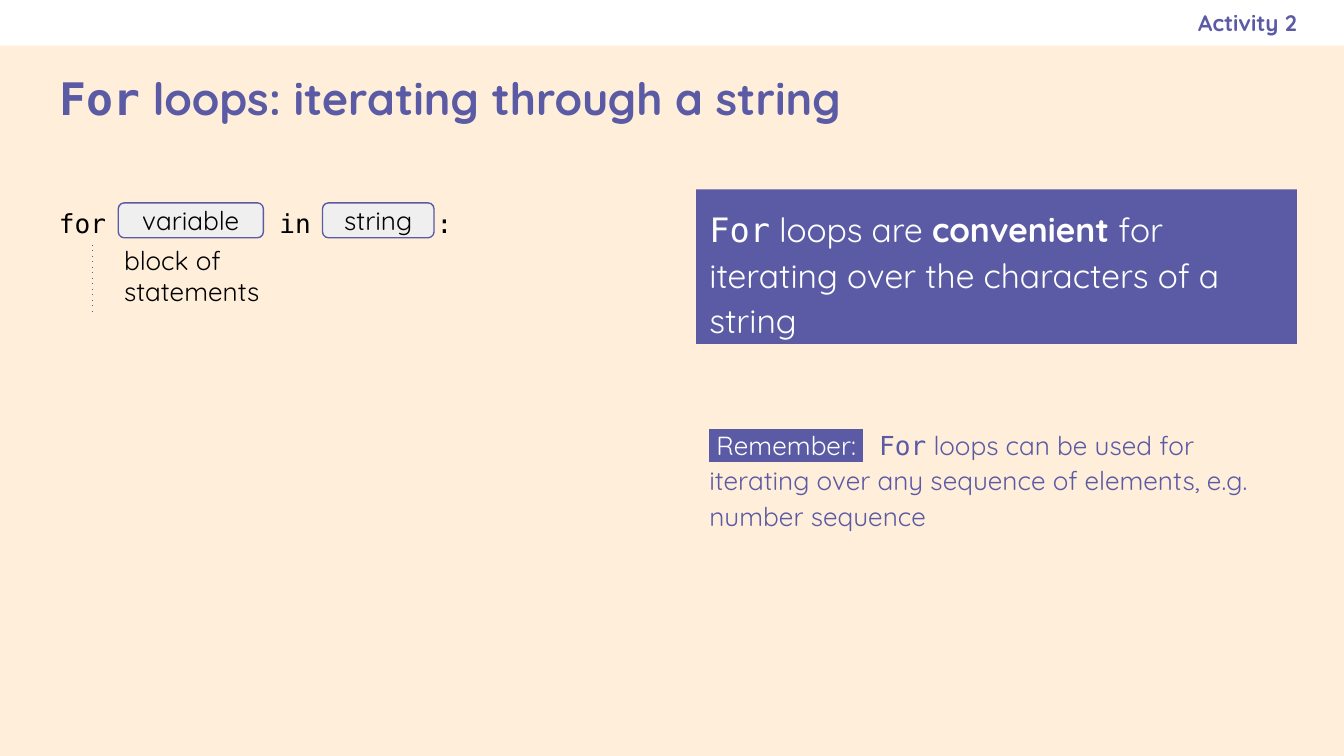
from dataclasses import dataclass, field
from typing import Any, Optional

from lxml.etree import SubElement
from pptx import Presentation
from pptx.dml.color import RGBColor
from pptx.enum.dml import MSO_LINE
from pptx.enum.shapes import MSO_CONNECTOR, MSO_SHAPE
from pptx.enum.text import MSO_ANCHOR, MSO_AUTO_SIZE, PP_ALIGN
from pptx.oxml.ns import qn
from pptx.util import Inches, Pt

CREAM = RGBColor(0xFF, 0xEF, 0xDA)
WHITE = RGBColor(0xFF, 0xFF, 0xFF)
BLACK = RGBColor(0, 0, 0)
PURPLE = RGBColor(0x5B, 0x5B, 0xA5)
GREY = RGBColor(0xEF, 0xEF, 0xEF)
SANS, MONO = "Quicksand", "DejaVu Sans Mono"

COLS, ROWS = 100, 56.25  # square grid cells
CELL = Inches(10) // COLS
MARGIN, BAR, TOP = 3.4, 3.4, 14.1
PANEL_X, PANEL_W = 51.8, 44.7


@dataclass(frozen=True)
class Run:
    text: str
    font: str = SANS
    bold: bool = False
    color: Optional[RGBColor] = None
    highlight: Optional[RGBColor] = None


@dataclass(frozen=True)
class Block:
    """Text block; box is (column, row, columns, rows)."""
    box: tuple
    runs: tuple
    size: int = 14
    color: RGBColor = BLACK
    fill: Optional[RGBColor] = None
    line: Optional[RGBColor] = None
    shape: Any = MSO_SHAPE.RECTANGLE
    tabs: tuple = ()
    inset_right: float = 1
    frame: dict = field(default_factory=dict)
    para: dict = field(default_factory=dict)


def cells(n: float) -> int:
    return round(n * CELL)


def set_all(target: Any, values: dict) -> None:
    for name, value in values.items():
        setattr(target, name, value)


def add_run(p: Any, run: Run, block: Block) -> None:
    r = p.add_run()
    r.text = run.text
    set_all(r.font, {"name": run.font, "size": Pt(block.size), "bold": run.bold})
    r.font.color.rgb = run.color or block.color
    if run.highlight is not None:
        rPr = r.font._element
        hl = SubElement(rPr, qn("a:highlight"))
        SubElement(hl, qn("a:srgbClr"), val=str(run.highlight))
        rPr.find(qn("a:solidFill")).addnext(hl)


def write(sp: Any, block: Block) -> None:
    """Place a shape or placeholder and fill it with the block's text."""
    sp.left, sp.top, sp.width, sp.height = map(cells, block.box)
    tf = sp.text_frame
    set_all(tf, {
        "word_wrap": True, "auto_size": MSO_AUTO_SIZE.NONE,
        "vertical_anchor": MSO_ANCHOR.TOP,
        "margin_left": cells(1), "margin_top": cells(1),
        "margin_bottom": cells(1), "margin_right": cells(block.inset_right),
        **block.frame})
    p = tf.paragraphs[0]
    if block.tabs:
        tab_list = SubElement(p._p.get_or_add_pPr(), qn("a:tabLst"))
        for stop in block.tabs:
            SubElement(tab_list, qn("a:tab"), pos=str(cells(stop)), algn="l")
    set_all(p, {"alignment": PP_ALIGN.LEFT, "space_before": Pt(0), **block.para})
    for run in block.runs:
        add_run(p, run, block)


def add_block(shapes: Any, block: Block) -> Any:
    sp = shapes.add_shape(block.shape, *map(cells, block.box))
    sp.shadow.inherit = False
    if block.shape == MSO_SHAPE.ROUNDED_RECTANGLE:
        sp.adjustments[0] = 0.17
    for fill, color in ((sp.fill, block.fill), (sp.line.fill, block.line)):
        if color is None:
            fill.background()
        else:
            fill.solid()
            fill.fore_color.rgb = color
    if block.line is not None:
        sp.line.width = Pt(0.75)
    write(sp, block)
    return sp


def add_dotted_line(shapes: Any, x: float, top: float, bottom: float) -> None:
    line = shapes.add_connector(MSO_CONNECTOR.STRAIGHT,
                                *map(cells, (x, top, x, bottom)))
    line.line.color.rgb = PURPLE
    line.line.width = Pt(0.75)
    line.line.dash_style = MSO_LINE.ROUND_DOT
    spPr = line._element.spPr
    spPr.find(".//" + qn("a:prstDash")).set("val", "dot")
    SubElement(spPr, qn("a:effectLst"))


def slot(x: float, width: float, text: str) -> Block:
    return Block((x, 15.1, width, 2.6), (Run(text),), fill=GREY, line=PURPLE,
                 shape=MSO_SHAPE.ROUNDED_RECTANGLE, frame=MIDDLE,
                 para={"alignment": PP_ALIGN.CENTER})


MIDDLE = {"vertical_anchor": MSO_ANCHOR.MIDDLE}

TITLE = Block((MARGIN, BAR, COLS - 2 * MARGIN, 7.7),
              (Run("For", MONO, True),
               Run(" loops: iterating through a string", bold=True)),
              size=24, color=PURPLE, frame=MIDDLE)
ACTIVITY = Block((57.5, 0, 39, BAR), (Run("Activity 2", bold=True),),
                 size=12, color=PURPLE, inset_right=0, frame=MIDDLE,
                 para={"alignment": PP_ALIGN.RIGHT})
SYNTAX = Block((MARGIN, TOP, 37, 9.3), (Run("for\tin\t:", MONO),),
               tabs=(16.4, 28.1), para={"line_spacing": 1.15})
SLOTS = (slot(8.8, 10.8, "variable"), slot(24, 8.3, "string"))
BODY = Block((8, 18, 14.2, 5), (Run("block of statements"),),
             shape=MSO_SHAPE.ROUNDED_RECTANGLE, frame=MIDDLE)
PANELS = (
    Block((PANEL_X, TOP, PANEL_W, 11.5),
          (Run("For", MONO), Run(" loops are "), Run("convenient", bold=True),
           Run(" for iterating over the characters of a string")),
          size=18, color=WHITE, fill=PURPLE, inset_right=0.6,
          para={"line_spacing": 1.14}),
    Block((PANEL_X, 30.6, PANEL_W, 9.8),
          (Run(" Remember: ", color=WHITE, highlight=PURPLE),
           Run(" For", MONO),
           Run(" loops can be used for iterating over any sequence of "
               "elements, e.g. number sequence")),
          color=PURPLE, inset_right=0.6,
          para={"line_spacing": 1.14, "space_after": Pt(10)}),
)


def main() -> None:
    prs = Presentation()
    prs.slide_width, prs.slide_height = cells(COLS), cells(ROWS)
    s = prs.slides.add_slide(prs.slide_layouts[0])
    s.background.fill.solid()
    s.background.fill.fore_color.rgb = CREAM

    bar = add_block(s.shapes, Block((0, 0, COLS, BAR), (), fill=WHITE))
    s.shapes.title._element.addprevious(bar._element)
    write(s.shapes.title, TITLE)
    write(s.placeholders[1], ACTIVITY)

    syntax = s.shapes.add_group_shape().shapes
    for block in (SYNTAX, *SLOTS, BODY):
        add_block(syntax, block)
    add_dotted_line(syntax, 6.9, 18.2, 23.2)

    for panel in PANELS:
        add_block(s.shapes, panel)
    prs.save("out.pptx")


if __name__ == "__main__":
    main()
